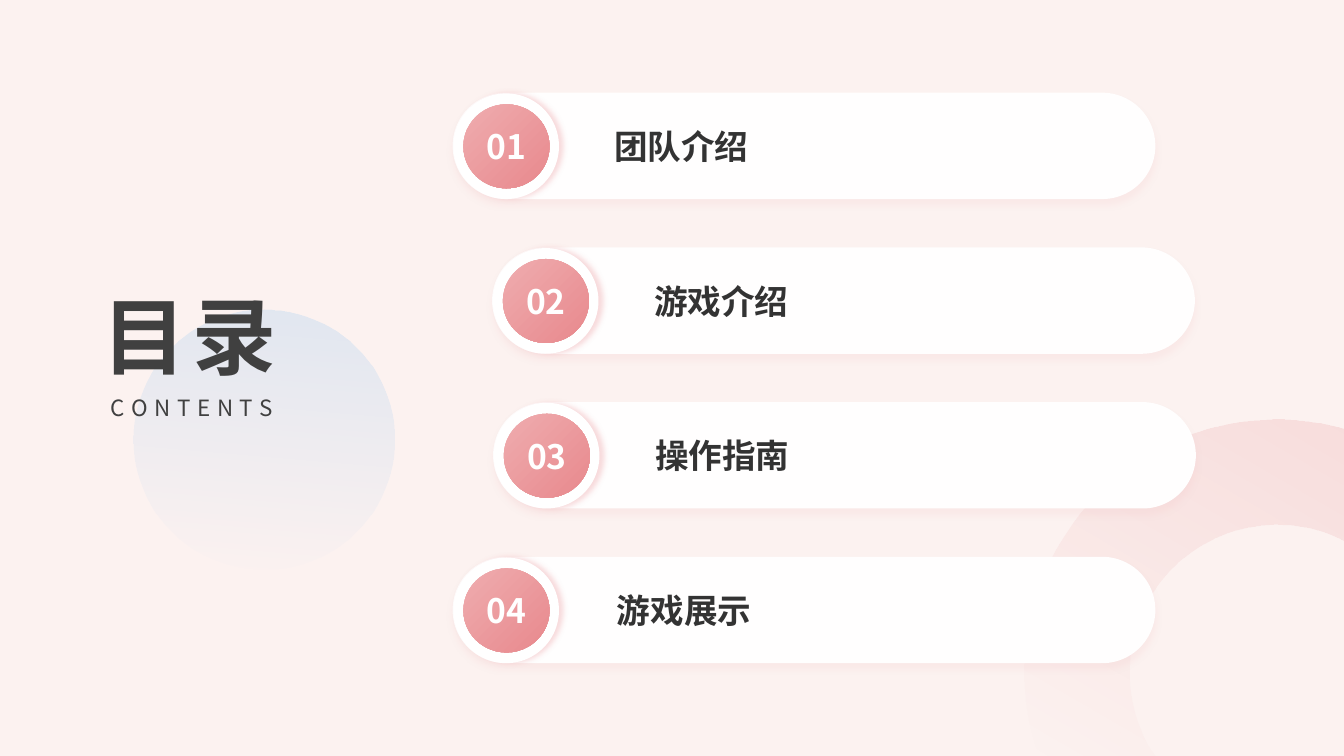
import math

from lxml import etree
from pptx import Presentation
from pptx.dml.color import RGBColor
from pptx.enum.shapes import MSO_SHAPE
from pptx.enum.text import MSO_ANCHOR, PP_ALIGN
from pptx.oxml.ns import qn
from pptx.util import Pt

OVAL = MSO_SHAPE.OVAL
PILL = MSO_SHAPE.ROUNDED_RECTANGLE
MIDDLE, BOTTOM = MSO_ANCHOR.MIDDLE, MSO_ANCHOR.BOTTOM
LEFT, CENTER = PP_ALIGN.LEFT, PP_ALIGN.CENTER

SLIDE_WIDTH, SLIDE_HEIGHT = 960, 540
CJK_FONT, LABEL_FONT = "Noto Sans CJK SC", "Arial"
COLORS = {
    "background": "FCF2F0",
    "sky": "71B9F1",
    "rose": "E8898D",
    "rose_light": "EFACAF",
    "rose_shadow": "F1B8BB",
    "bar": "FFFEFE",
    "white": "FFFFFF",
    "heading": "404040",
    "label": "333333",
}
ENTRIES = [
    ("01", "团队介绍", 323.3, 115.3),
    ("02", "游戏介绍", 351.5, 115.7),
    ("03", "操作指南", 352.2, 115.7),
    ("04", "游戏展示", 323.3, 117.3),
]
FIRST_TOP, ENTRY_STEP = 66.2, 110.5
BAR_WIDTH, BAR_HEIGHT = 502, 76


def rgb(name):
    """Return the named colour."""
    return RGBColor.from_string(COLORS[name])


def add_color(parent, name, alpha=100):
    """Append a colour element with an opacity in percent."""
    color = etree.SubElement(parent, qn("a:srgbClr"), val=COLORS[name])
    if alpha < 100:
        etree.SubElement(color, qn("a:alpha"), val=str(alpha * 1000))


def set_gradient(shape, stops, angle=None):
    """Fill with (position, colour, opacity) stops, radial if no angle is given."""
    shape.fill.gradient()
    gradient = shape.fill._xPr.find(qn("a:gradFill"))
    for child in list(gradient):
        gradient.remove(child)
    stop_list = etree.SubElement(gradient, qn("a:gsLst"))
    for position, name, alpha in stops:
        stop = etree.SubElement(stop_list, qn("a:gs"), pos=str(position * 1000))
        add_color(stop, name, alpha)
    if angle is None:
        radial = etree.SubElement(gradient, qn("a:path"), path="circle")
        etree.SubElement(radial, qn("a:fillToRect"), l="100000", t="100000")
    else:
        etree.SubElement(gradient, qn("a:lin"), ang=str(angle * 60000), scaled="0")


def set_shadow(shape, alpha, blur, distance, direction):
    """Give a shape a soft rose outer shadow."""
    effects = shape._element.spPr.find(qn("a:effectLst"))
    shadow = etree.SubElement(
        effects, qn("a:outerShdw"), blurRad=str(Pt(blur)), dist=str(Pt(distance)),
        dir=str(direction * 60000), algn="ctr", rotWithShape="0")
    add_color(shadow, "rose_shadow", alpha)


def add_plain(slide, kind, left, top, width, height, fill=None):
    """Add a preset shape without line or inherited shadow."""
    shape = slide.shapes.add_shape(kind, Pt(left), Pt(top), Pt(width), Pt(height))
    shape.shadow.inherit = False
    shape.line.fill.background()
    if fill:
        shape.fill.solid()
        shape.fill.fore_color.rgb = rgb(fill)
    return shape


def write(shape, text, size, color, font=CJK_FONT, bold=True, align=LEFT,
          anchor=MIDDLE, spacing=0, wrap=True):
    """Set one line of styled text in a shape with no insets."""
    frame = shape.text_frame
    frame.margin_left = frame.margin_right = frame.margin_top = frame.margin_bottom = 0
    frame.word_wrap = wrap
    frame.vertical_anchor = anchor
    frame.text = text
    frame.paragraphs[0].alignment = align
    run = frame.paragraphs[0].runs[0]
    run.font.size = Pt(size)
    run.font.bold = bold
    run.font.name = font
    run.font.color.rgb = rgb(color)
    properties = run.font._element
    etree.SubElement(properties, qn("a:ea"), typeface=CJK_FONT)
    if spacing:
        properties.set("spc", str(round(spacing * 100)))


def add_text(slide, left, top, width, height, text, size, color, **style):
    """Add a text box with one styled line."""
    box = slide.shapes.add_textbox(Pt(left), Pt(top), Pt(width), Pt(height))
    write(box, text, size, color, **style)


def arc(center_x, center_y, radius, steps=90):
    """List the points of a circle's arc from the slide's bottom to its right edge."""
    start = math.pi + math.asin((SLIDE_HEIGHT - center_y) / radius)
    end = math.acos((SLIDE_WIDTH - center_x) / radius)
    angles = [start + (end - start) * i / steps for i in range(steps + 1)]
    return [(center_x + radius * math.cos(a), center_y - radius * math.sin(a))
            for a in angles]


def add_corner_ring(slide, center_x, center_y, outer, inner):
    """Draw the translucent ring cut off by the slide's corner."""
    outline = arc(center_x, center_y, outer) + arc(center_x, center_y, inner)[::-1]
    points = [(Pt(x), Pt(y)) for x, y in outline]
    builder = slide.shapes.build_freeform(*points[0])
    builder.add_line_segments(points[1:], close=True)
    ring = builder.convert_to_shape()
    ring.shadow.inherit = False
    ring.line.fill.background()
    set_gradient(ring, [(0, "rose", 20), (100, "rose", 0)], 120)


def add_heading(slide, left, top, width, height):
    """Place the title and its subtitle over a pale blue disc."""
    disc = add_plain(slide, OVAL, left + 22.2, top + 131, 186, 186)
    set_gradient(disc, [(0, "sky", 0), (100, "sky", 20)], 275)
    add_text(slide, left, top, width, height, "目录", 60, "heading",
             anchor=BOTTOM, spacing=4)
    add_text(slide, left + 5.8, top + height + 4, width, 24, "CONTENTS", 16, "heading",
             bold=False, spacing=4.8)


def add_entry(slide, left, top, width, height, number, title, title_offset):
    """Place one contents bar with its numbered badge and title."""
    bar = add_plain(slide, PILL, left, top, width, height, "bar")
    bar.adjustments[0] = 0.5
    set_shadow(bar, 15, 5, 4, 90)
    rim = add_plain(slide, OVAL, left + 0.5, top + 0.5, height - 0.5, height - 0.5, "white")
    set_shadow(rim, 50, 4, 3, 0)
    badge = add_plain(slide, OVAL, left + 7.7, top + 8.3, 61.5, 60)
    set_gradient(badge, [(0, "rose", 100), (100, "rose_light", 100)])
    write(badge, number, 24, "white", align=CENTER, wrap=False)
    add_text(slide, left + title_offset, top, 356.5, height, title, 24, "label",
             font=LABEL_FONT)


def main():
    """Build the contents slide and save it."""
    deck = Presentation()
    deck.slide_width, deck.slide_height = Pt(SLIDE_WIDTH), Pt(SLIDE_HEIGHT)
    slide = deck.slides.add_slide(deck.slide_layouts[6])
    slide.background.fill.solid()
    slide.background.fill.fore_color.rgb = rgb("background")
    add_corner_ring(slide, 911.5, 480, 180, 105)
    add_heading(slide, 73.5, 90, 163, 185)
    for row, (number, title, left, title_offset) in enumerate(ENTRIES):
        add_entry(slide, left, FIRST_TOP + row * ENTRY_STEP, BAR_WIDTH, BAR_HEIGHT,
                  number, title, title_offset)
    deck.save("out.pptx")


if __name__ == "__main__":
    main()
